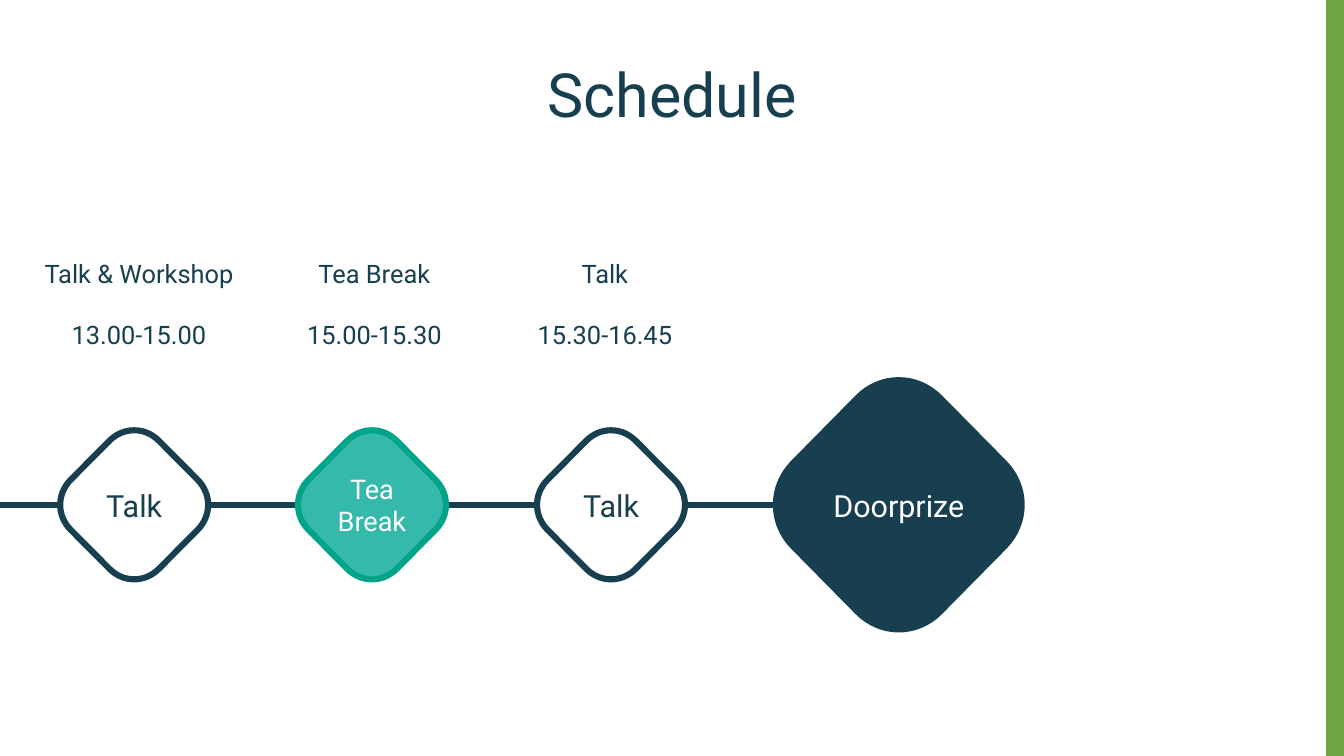
import lxml.etree
import pptx
import pptx.dml.color
import pptx.enum.shapes
import pptx.enum.text
import pptx.oxml.ns
import pptx.util

Inches = pptx.util.Inches
Pt = pptx.util.Pt

NAVY, TEAL, DEEP_TEAL = "173F4F", "35B9AB", "00A489"
GREEN, WHITE = "6DA741", "FFFFFF"
SLIDE_WIDTH, SLIDE_HEIGHT = 11.02, 6.2
AXIS_Y = 4.14
LABEL_TOP, LABEL_WIDTH, LABEL_HEIGHT = 1.69, 2, 1.61
SMALL, LARGE = (1.27, 1.28), (2.11, 2.14)
CURVE_STEPS = 16

# Centre, size, caption, text size, fill, line, text colour
STOPS = [
    (7.37, LARGE, "Doorprize", 18, NAVY, NAVY, WHITE),
    (3.05, SMALL, "Tea\nBreak", 16, TEAL, DEEP_TEAL, WHITE),
    (5.01, SMALL, "Talk", 18, WHITE, NAVY, NAVY),
    (1.1, SMALL, "Talk", 18, WHITE, NAVY, NAVY),
]
LABELS = [
    (0.14, "Talk & Workshop\n13.00-15.00"),
    (2.07, "Tea Break\n15.00-15.30"),
    (3.96, "Talk\n15.30-16.45"),
]


def color(value):
    return pptx.dml.color.RGBColor.from_string(value)


def write_text(shape, text, size, text_color, gap=0):
    """Centre the text both ways, with a gap in points between paragraphs."""
    frame = shape.text_frame
    frame.text = text
    frame.word_wrap = True
    frame.vertical_anchor = pptx.enum.text.MSO_ANCHOR.MIDDLE
    for index, paragraph in enumerate(frame.paragraphs):
        paragraph.alignment = pptx.enum.text.PP_ALIGN.CENTER
        if index and gap:
            paragraph.space_before = Pt(gap)
        for run in paragraph.runs:
            run.font.name = "Roboto"
            run.font.size = Pt(size)
            run.font.color.rgb = color(text_color)


def add_text(slide, left, top, width, height, text, size, gap=0):
    box = slide.shapes.add_textbox(
        Inches(left), Inches(top), Inches(width), Inches(height))
    frame = box.text_frame
    frame.margin_left = frame.margin_right = 0
    frame.margin_top = frame.margin_bottom = 0
    write_text(box, text, size, NAVY, gap)


def add_line(slide, start, end, line_color, width):
    line = slide.shapes.add_connector(
        pptx.enum.shapes.MSO_CONNECTOR.STRAIGHT,
        *(Inches(length) for length in start + end))
    line.line.color.rgb = color(line_color)
    line.line.width = Pt(width)
    lxml.etree.SubElement(line._element.spPr, pptx.oxml.ns.qn("a:effectLst"))


def diamond_outline():
    """Return points of a rounded diamond within -1 to 1 on both axes."""
    corner = [(-0.32, -0.82), (-0.14, -1), (0.14, -1), (0.32, -0.82)]
    top = []
    for step in range(CURVE_STEPS + 1):
        t = step / CURVE_STEPS
        weights = ((1 - t) ** 3, 3 * t * (1 - t) ** 2,
                   3 * t * t * (1 - t), t ** 3)
        top.append(tuple(sum(weight * point[axis]
                             for weight, point in zip(weights, corner))
                         for axis in (0, 1)))
    right = [(-y, x) for x, y in top]
    return top + right + [(-x, -y) for x, y in top + right]


def add_diamond(slide, center, size, caption, text_size, fill, line, text_color):
    points = [(Inches(center + x * size[0] / 2), Inches(AXIS_Y + y * size[1] / 2))
              for x, y in diamond_outline()]
    builder = slide.shapes.build_freeform(*points[0])
    builder.add_line_segments(points[1:], close=True)
    diamond = builder.convert_to_shape()
    diamond.shadow.inherit = False
    diamond.fill.solid()
    diamond.fill.fore_color.rgb = color(fill)
    diamond.line.color.rgb = color(line)
    diamond.line.width = Pt(3.63)
    write_text(diamond, caption, text_size, text_color)


def add_timeline(slide):
    add_line(slide, (0, AXIS_Y), (STOPS[0][0], AXIS_Y), NAVY, 3.6)
    for stop in STOPS:
        add_diamond(slide, *stop)
    for left, text in LABELS:
        add_text(slide, left, LABEL_TOP, LABEL_WIDTH, LABEL_HEIGHT, text, 15, gap=18)


def main():
    presentation = pptx.Presentation()
    presentation.slide_width = Inches(SLIDE_WIDTH)
    presentation.slide_height = Inches(SLIDE_HEIGHT)
    slide = presentation.slides.add_slide(presentation.slide_layouts[6])
    add_timeline(slide)
    add_text(slide, 0.55, 0.25, 9.92, 1.03, "Schedule", 36)
    add_line(slide, (10.97, 0), (10.97, SLIDE_HEIGHT), GREEN, 14.4)
    presentation.save("out.pptx")


if __name__ == "__main__":
    main()
